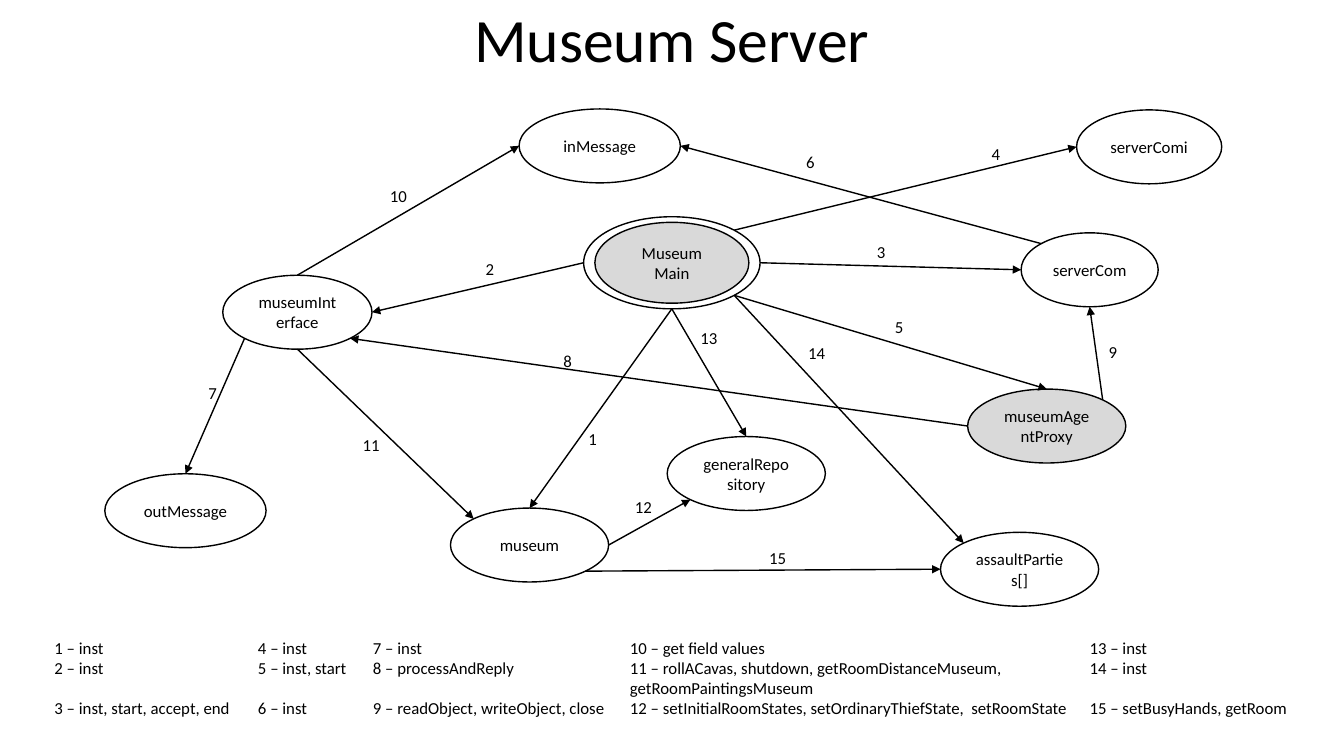
from math import cos, radians, sin

from lxml.etree import SubElement
from pptx import Presentation
from pptx.dml.color import RGBColor
from pptx.enum.shapes import MSO_CONNECTOR, MSO_SHAPE
from pptx.enum.text import MSO_ANCHOR, MSO_AUTO_SIZE, PP_ALIGN
from pptx.oxml.ns import qn
from pptx.util import Pt

COLORS = {"ink": "000000", "paper": "FFFFFF", "active": "D9D9D9"}
BODY_FONT = {"name": "Calibri", "size": Pt(12), "bold": False}
TITLE_FONT = {"name": "Calibri", "size": Pt(44), "bold": False}
SITES = ["top", "top left", "left", "bottom left",
         "bottom", "bottom right", "right", "top right"]

NODE_HEIGHT = 52.8
MAIN_BOX = (344.9, 82.8, 126, 65.8)
MAIN_INSET = (8, 4)
NODES = {
    "museum": (249.8, 290.9, 113, "paper"),
    "serverCom": (657.4, 94.3, 97.9, "paper"),
    "serverComi": (697, 6.5, 103.7, "paper"),
    "museumInterface": (87.1, 124.6, 106.6, "paper"),
    "museumAgentProxy": (619.2, 205.9, 113, "active"),
    "inMessage": (298.8, 5.8, 115.2, "paper"),
    "outMessage": (2.9, 266.4, 115.2, "paper"),
    "generalRepository": (404.6, 239.8, 113, "paper"),
    "assaultParties[]": (599.8, 308.2, 113, "paper"),
}
CALLS = [
    ("Museum Main", "bottom", "museum", "top", 341.3, 230.4),
    ("Museum Main", "left", "museumInterface", "right", 267.8, 109.4),
    ("Museum Main", "right", "serverCom", "left", 547.2, 97.2),
    ("Museum Main", "top right", "serverComi", "left", 629.3, 27.4),
    ("Museum Main", "bottom right", "museumAgentProxy", "top", 560.2, 150.5),
    ("serverCom", "top left", "inMessage", "right", 496.8, 33.1),
    ("museumInterface", "bottom left", "outMessage", "top", 69.8, 198),
    ("museumAgentProxy", "left", "museumInterface", "bottom right", 323.3, 175),
    ("museumAgentProxy", "top right", "serverCom", "bottom", 712.8, 168.5),
    ("museumInterface", "top", "inMessage", "left", 199.4, 56.9),
    ("museumInterface", "bottom", "museum", "top left", 180, 234.7),
    ("museum", "right", "generalRepository", "bottom left", 374.4, 279.4),
    ("Museum Main", "bottom", "generalRepository", "top", 421.2, 158.4),
    ("Museum Main", "bottom right", "assaultParties[]", "top left", 498.2, 169.2),
    ("museum", "bottom right", "assaultParties[]", "left", 470.2, 315.4),
]

LEGEND_WIDTHS = [145.4, 82.1, 183.6, 328.3, 169.9]
LEGEND_HEIGHTS = [13, 26, 29.5]
LEGEND = [
    ["1 – inst", "4 – inst", "7 – inst", "10 – get field values", "13 – inst"],
    ["2 – inst", "5 – inst, start", "8 – processAndReply",
     "11 – rollACavas, shutdown, getRoomDistanceMuseum, getRoomPaintingsMuseum",
     "14 – inst"],
    ["3 – inst, start, accept, end", "6 – inst", "9 – readObject, writeObject, close",
     "12 – setInitialRoomStates, setOrdinaryThiefState,  setRoomState",
     "15 – setBusyHands, getRoom"],
]


def color(name):
    return RGBColor.from_string(COLORS[name])


def write(frame, text, font=BODY_FONT, alignment=PP_ALIGN.LEFT):
    paragraph = frame.paragraphs[0]
    paragraph.alignment = alignment
    run = paragraph.add_run()
    run.text = text
    for attribute, value in font.items():
        setattr(run.font, attribute, value)
    run.font.color.rgb = color("ink")
    return paragraph


def add_text(slide, box, text, font=BODY_FONT, alignment=PP_ALIGN.LEFT):
    shape = slide.shapes.add_textbox(*map(Pt, box))
    shape.text_frame.word_wrap = True
    write(shape.text_frame, text, font, alignment)
    return shape


def set_outline(shape):
    shape.line.color.rgb = color("ink")
    shape.line.width = Pt(1)


def add_ellipse(shapes, box, fill, text=""):
    shape = shapes.add_shape(MSO_SHAPE.OVAL, *map(Pt, box))
    shape.shadow.inherit = False
    shape.fill.solid()
    shape.fill.fore_color.rgb = color(fill)
    set_outline(shape)
    if text:
        shape.text_frame.vertical_anchor = MSO_ANCHOR.MIDDLE
        shape.text_frame.word_wrap = True
        write(shape.text_frame, text, alignment=PP_ALIGN.CENTER)
    return shape


def site_point(shape, site):
    angle = radians(90 + 45 * SITES.index(site))
    x = shape.left + shape.width / 2 * (1 + cos(angle))
    y = shape.top + shape.height / 2 * (1 - sin(angle))
    return round(x), round(y)


def add_arrow(slide, start, start_site, end, end_site):
    connector = slide.shapes.add_connector(
        MSO_CONNECTOR.STRAIGHT, *site_point(start, start_site), *site_point(end, end_site))
    set_outline(connector)
    properties = connector.element.find(qn("p:spPr"))
    SubElement(properties.find(qn("a:ln")), qn("a:tailEnd"), type="triangle")
    SubElement(properties, qn("a:effectLst"))
    links = connector.element.find(".//" + qn("p:cNvCxnSpPr"))
    for tag, shape, site in (("a:stCxn", start, start_site), ("a:endCxn", end, end_site)):
        SubElement(links, qn(tag), id=str(shape.shape_id), idx=str(SITES.index(site)))


def add_title(slide, box):
    shape = add_text(slide, box, "Museum Server", TITLE_FONT, PP_ALIGN.CENTER)
    shape.text_frame.vertical_anchor = MSO_ANCHOR.MIDDLE
    shape.text_frame.paragraphs[0].line_spacing = 0.9


def add_main_process(slide, box):
    left, top, width, height = box
    inset_x, inset_y = MAIN_INSET
    group = slide.shapes.add_group_shape()
    ring = add_ellipse(group.shapes, box, "paper")
    inner = (left + inset_x, top + inset_y, width - 2 * inset_x, height - 2 * inset_y)
    add_ellipse(group.shapes, inner, "active", "Museum Main")
    return ring


def add_diagram(slide, box):
    left, top = box[:2]
    x, y, width, height = MAIN_BOX
    nodes = {"Museum Main": add_main_process(slide, (left + x, top + y, width, height))}
    for name, (x, y, width, fill) in NODES.items():
        node_box = (left + x, top + y, width, NODE_HEIGHT)
        nodes[name] = add_ellipse(slide.shapes, node_box, fill, name)
    for number, (start, start_site, end, end_site, x, y) in enumerate(CALLS, 1):
        add_arrow(slide, nodes[start], start_site, nodes[end], end_site)
        width = 24.5 if number < 9 else 27.4
        label = add_text(slide, (left + x, top + y, width, 21.8), str(number))
        label.text_frame.auto_size = MSO_AUTO_SIZE.SHAPE_TO_FIT_TEXT


def add_legend(slide, box):
    frame = slide.shapes.add_table(len(LEGEND), len(LEGEND_WIDTHS), *map(Pt, box))
    table = frame.table
    for column, width in zip(table.columns, LEGEND_WIDTHS):
        column.width = Pt(width)
    for row, height, texts in zip(table.rows, LEGEND_HEIGHTS, LEGEND):
        row.height = Pt(height)
        for cell, text in zip(row.cells, texts):
            cell.margin_top = cell.margin_bottom = 0
            cell.fill.solid()
            cell.fill.fore_color.rgb = color("paper")
            write(cell.text_frame, text)


def main():
    presentation = Presentation()
    presentation.slide_width = Pt(960)
    presentation.slide_height = Pt(540)
    slide = presentation.slides.add_slide(presentation.slide_layouts[6])
    add_title(slide, (0, -21.6, 960, 104.4))
    add_diagram(slide, (72, 72, 816, 366))
    add_legend(slide, (31.7, 455.8, sum(LEGEND_WIDTHS), sum(LEGEND_HEIGHTS)))
    presentation.save("out.pptx")


if __name__ == "__main__":
    main()
